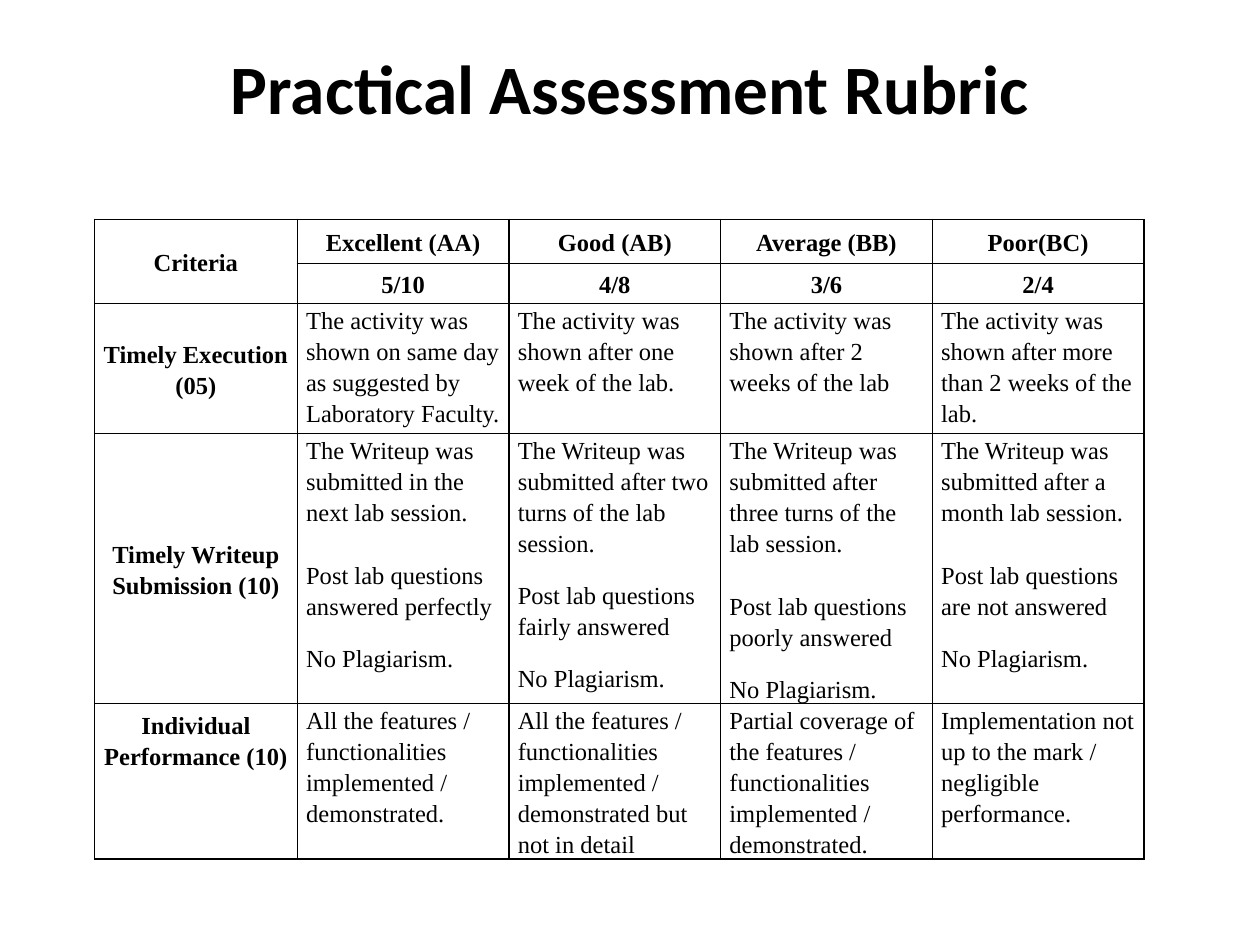
from lxml.etree import SubElement
from pptx import Presentation
from pptx.dml.color import RGBColor
from pptx.enum.text import MSO_ANCHOR as ANCHOR, PP_ALIGN as ALIGN
from pptx.oxml.ns import qn
from pptx.util import Inches, Pt

BLACK, WHITE = "000000", "FFFFFF"
COLS = [1.61] + [1.68] * 4
HEIGHTS = [0.35, 0.32, 1.03, 2.05, 1.2]
LINE, HALF = 18, 12
SUBMITTED = "The Writeup was submitted "
FEATURES = "the features / functionalities implemented / demonstrated"


def writeup(when, answered, gap=LINE):
    """Return the paragraphs of a writeup cell as (text, space before) pairs."""
    return [(f"{SUBMITTED}{when}", 0), (f"Post lab questions {answered}", gap), ("No Plagiarism.", HALF)]


ROWS = [
    ["Criteria", "Excellent (AA)", "Good (AB)", "Average (BB)", "Poor(BC)"],
    ["", "5/10", "4/8", "3/6", "2/4"],
    ["Timely Execution (05)",
     "The activity was shown on same day as suggested by Laboratory Faculty.",
     "The activity was shown after one week of the lab.",
     "The activity was shown after 2 weeks of the lab",
     "The activity was shown after more than 2 weeks of the lab."],
    ["Timely Writeup Submission (10)",
     writeup("in the next lab session.", "answered perfectly"),
     writeup("after two turns of the lab session.", "fairly answered", HALF),
     writeup("after three turns of the lab session.", "poorly answered"),
     writeup("after a month lab session.", "are not answered")],
    ["Individual Performance (10)",
     f"All {FEATURES}.",
     f"All {FEATURES} but not in detail",
     f"Partial coverage of {FEATURES}.",
     "Implementation not up to the mark / negligible performance."],
]


def rgb(value):
    """Turn a hex string into a colour."""
    return RGBColor.from_string(value)


def set_attrs(obj, values):
    """Set each attribute named in a dict."""
    for name, value in values.items():
        setattr(obj, name, value)


def add_run(p, text, **font):
    """Add a black run with the given font values."""
    r = p.add_run()
    r.text = text
    set_attrs(r.font, font)
    r.font.color.rgb = rgb(BLACK)


def add_title(s, text):
    """Place and format the slide title."""
    sp = s.shapes.title
    set_attrs(sp, dict(left=Inches(0.5), top=Inches(0.3), width=Inches(9), height=Inches(0.78)))
    tf = sp.text_frame
    set_attrs(tf, dict(word_wrap=True, vertical_anchor=ANCHOR.MIDDLE))
    p = tf.paragraphs[0]
    p.alignment = ALIGN.CENTER
    add_run(p, text, name="Calibri", size=Pt(39.6), bold=True)


def add_borders(cell):
    """Draw a thin black line on all four sides of a cell."""
    tc_pr = cell._tc.get_or_add_tcPr()
    for i, side in enumerate(("a:lnL", "a:lnR", "a:lnT", "a:lnB")):
        ln = SubElement(tc_pr, qn(side), w=str(Pt(1)))
        SubElement(SubElement(ln, qn("a:solidFill")), qn("a:srgbClr"), val=BLACK)
        tc_pr.insert(i, ln)


def fill_cell(cell, content, label, anchor, top=0):
    """Write a cell, bold and centred when it is a label."""
    set_attrs(cell, dict(margin_left=Inches(0.07), margin_right=Inches(0.07), margin_top=Inches(top),
                         margin_bottom=0, vertical_anchor=anchor))
    cell.fill.solid()
    cell.fill.fore_color.rgb = rgb(WHITE)
    add_borders(cell)
    if not content:
        return
    tf = cell.text_frame
    paras = [(content, 0)] if isinstance(content, str) else content
    for i, (text, gap) in enumerate(paras):
        p = tf.add_paragraph() if i else tf.paragraphs[0]
        set_attrs(p, dict(alignment=ALIGN.CENTER if label else ALIGN.LEFT,
                          line_spacing=1.15, space_before=Pt(gap)))
        add_run(p, text, name="Times New Roman", size=Pt(14), bold=label)


def add_rubric(s):
    """Add the rubric table."""
    frame = s.shapes.add_table(len(ROWS), len(COLS), Inches(0.75), Inches(1.74),
                               Inches(sum(COLS)), Inches(sum(HEIGHTS)))
    table = frame.table
    set_attrs(table, dict(first_row=False, horz_banding=False))
    for col, width in zip(table.columns, COLS):
        col.width = Inches(width)
    for row, height in zip(table.rows, HEIGHTS):
        row.height = Inches(height)
    table.cell(0, 0).merge(table.cell(1, 0))
    last = len(ROWS) - 1
    for i, row in enumerate(ROWS):
        for j, content in enumerate(row):
            label = i < 2 or j == 0
            anchor = ANCHOR.MIDDLE if label and i < last else ANCHOR.TOP
            fill_cell(table.cell(i, j), content, label, anchor, 0.04 if label and i == last else 0)


def main():
    """Build and save the slide."""
    prs = Presentation()
    set_attrs(prs, dict(slide_width=Inches(10), slide_height=Inches(7.5)))
    s = prs.slides.add_slide(prs.slide_layouts[5])
    add_title(s, "Practical Assessment Rubric")
    add_rubric(s)
    prs.save("out.pptx")


if __name__ == "__main__":
    main()
